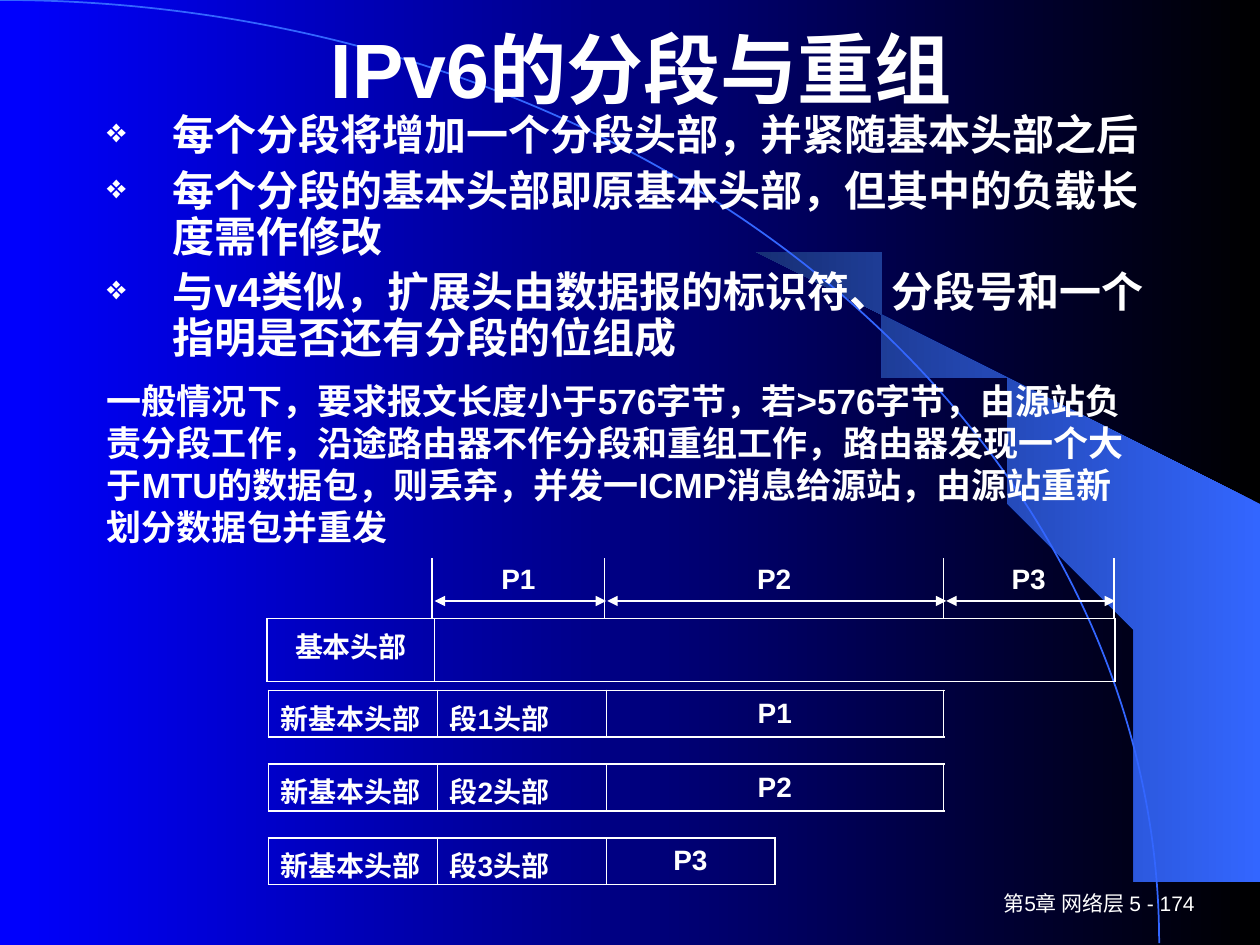
from lxml import etree
from pptx import Presentation
from pptx.dml.color import RGBColor
from pptx.enum.shapes import MSO_CONNECTOR, MSO_SHAPE
from pptx.enum.text import MSO_ANCHOR, PP_ALIGN
from pptx.oxml.ns import qn
from pptx.util import Inches, Pt

LEFT, CENTER, RIGHT = PP_ALIGN.LEFT, PP_ALIGN.CENTER, PP_ALIGN.RIGHT
TOP, MIDDLE = MSO_ANCHOR.TOP, MSO_ANCHOR.MIDDLE
COLORS = {"text": "FFFFFF", "black": "000000", "blue": "0000FF",
          "beam": "3366FF", "beam_dark": "172F75"}
THICK, THIN = 1.08, 0.45

# Content
TITLE = "IPv6的分段与重组 "
BULLETS = [
    "每个分段将增加一个分段头部，并紧随基本头部之后",
    "每个分段的基本头部即原基本头部，但其中的负载长度需作修改",
    "与v4类似，扩展头由数据报的标识符、分段号和一个指明是否还有分段的位组成",
]
NOTE = ("一般情况下，要求报文长度小于576字节，若>576字节，由源站负责分段工作，"
        "沿途路由器不作分段和重组工作，路由器发现一个大于MTU的数据包，则丢弃，"
        "并发一ICMP消息给源站，由源站重新划分数据包并重发")
FOOTER = "第5章 网络层 5 - 174"
FRAGMENT_WIDTHS = [2.68, 2.68, 1.34]
PARTS = ["P1", "P2", "P3"]
PART_WIDTHS = [1.37, 2.69, 1.35]
PART_SPANS = [(3.45, 4.81), (4.82, 7.51), (7.51, 8.85)]
BEAM = [(9.2, 7.48), (9.99, 7.49), (9.99, 4.23), (5.89, 1.73), (6.24, 1.99),
        (6.53, 2.22), (6.85, 2.5), (7.16, 2.8), (7.62, 3.3), (8.03, 3.84),
        (8.32, 4.31), (8.58, 4.79), (8.78, 5.28), (8.93, 5.72), (9.03, 6.09),
        (9.13, 6.56), (9.17, 6.96), (9.2, 7.48)]


def rgb(name):
    return RGBColor.from_string(COLORS[name])


def set_gradient(fill, first, last):
    fill.gradient()
    fill.gradient_angle = 180
    for stop, name in zip(fill.gradient_stops, (first, last)):
        stop.color.rgb = rgb(name)


def style_paragraph(paragraph, size, bold=True, align=LEFT):
    paragraph.alignment = align
    font = paragraph.font
    font.name, font.size, font.bold = "Arial", Pt(size), bold
    font.color.rgb = rgb("text")


def add_bullet(paragraph):
    properties = paragraph._p.get_or_add_pPr()
    properties.set("marL", str(Inches(0.52)))
    properties.set("indent", str(Inches(-0.52)))
    color = etree.SubElement(properties, qn("a:buClr"))
    etree.SubElement(color, qn("a:srgbClr"), val=COLORS["text"])
    etree.SubElement(properties, qn("a:buSzPct"), val="80000")
    etree.SubElement(properties, qn("a:buChar"), char="❖")


def add_text(slide, box, lines, size, bold=True, align=LEFT, anchor=TOP, bullets=False):
    frame = slide.shapes.add_textbox(*map(Inches, box)).text_frame
    frame.word_wrap = True
    frame.vertical_anchor = anchor
    for index, line in enumerate(lines):
        paragraph = frame.paragraphs[0] if index == 0 else frame.add_paragraph()
        paragraph.text = line
        if bullets:
            add_bullet(paragraph)
            paragraph.line_spacing = 0.9
            if index:
                paragraph.space_before = Pt(6)
        style_paragraph(paragraph, size, bold, align)


def set_borders(cell, widths):
    """Widths in points for left, right, top and bottom; 0 hides a border."""
    properties = cell._tc.get_or_add_tcPr()
    for index, (side, width) in enumerate(zip("LRTB", widths)):
        border = etree.Element(qn("a:ln" + side), w=str(Pt(width)))
        if width:
            fill = etree.SubElement(border, qn("a:solidFill"))
            etree.SubElement(fill, qn("a:srgbClr"), val=COLORS["text"])
        else:
            etree.SubElement(border, qn("a:noFill"))
        properties.insert(index, border)


def add_row_table(slide, left, top, height, widths, texts, aligns, anchor, top_border):
    table = slide.shapes.add_table(1, len(widths), Inches(left), Inches(top),
                                   Inches(sum(widths)), Inches(height)).table
    table.first_row = table.horz_banding = False
    last = len(widths) - 1
    for index, (width, text, align) in enumerate(zip(widths, texts, aligns)):
        table.columns[index].width = Inches(width)
        cell = table.cell(0, index)
        cell.text = text
        cell.vertical_anchor = anchor
        cell.fill.background()
        style_paragraph(cell.text_frame.paragraphs[0], 16, align=align)
        set_borders(cell, (THIN if index else THICK,
                           THIN if index < last else THICK, top_border, THICK))


def add_double_arrow(slide, start, end, y):
    arrow = slide.shapes.add_connector(MSO_CONNECTOR.STRAIGHT, Inches(start),
                                       Inches(y), Inches(end), Inches(y))
    arrow.line.color.rgb = rgb("text")
    arrow.line.width = Pt(0.75)
    line = arrow.line._get_or_add_ln()
    for tag in ("a:headEnd", "a:tailEnd"):
        etree.SubElement(line, qn(tag), type="triangle")
    etree.SubElement(arrow._element.spPr, qn("a:effectLst"))


def add_backdrop(slide):
    set_gradient(slide.background.fill, "black", "blue")
    builder = slide.shapes.build_freeform(*BEAM[0], scale=Inches(1))
    builder.add_line_segments(BEAM[1:], close=False)
    beam = builder.convert_to_shape()
    beam.shadow.inherit = False
    set_gradient(beam.fill, "beam", "beam_dark")
    beam.line.fill.background()
    arc = slide.shapes.add_shape(MSO_SHAPE.ARC, Inches(-9.2), 0,
                                 Inches(18.4), Inches(14.97))
    arc.shadow.inherit = False
    arc.fill.background()
    arc.line.color.rgb = rgb("beam")
    arc.line.width = Pt(1)


def main():
    presentation = Presentation()
    presentation.slide_width, presentation.slide_height = Inches(10), Inches(7.5)
    slide = presentation.slides.add_slide(presentation.slide_layouts[6])
    add_backdrop(slide)

    # Text
    add_text(slide, (7.5, 7, 2.08, 0.33), [FOOTER], 12, False, RIGHT, MIDDLE)
    add_text(slide, (0.91, 0.21, 8.5, 0.65), [TITLE], 44, align=CENTER, anchor=MIDDLE)
    add_text(slide, (0.75, 0.86, 8.5, 2.2), BULLETS, 24, bullets=True)
    add_text(slide, (0.75, 2.96, 8.33, 1.44), [NOTE], 20)

    # Fragments, one table each
    for index, (part, width) in enumerate(zip(PARTS, FRAGMENT_WIDTHS)):
        add_row_table(slide, 2.13, 5.48 + index * 0.585, 0.37, [1.34, 1.34, width],
                      ["新基本头部", f"段{index + 1}头部", part],
                      [LEFT, LEFT, CENTER], MIDDLE, THICK)

    # Unfragmented packet with its parts marked above
    add_row_table(slide, 3.43, 4.43, 0.48, PART_WIDTHS, PARTS, [CENTER] * 3, TOP, 0)
    for start, end in PART_SPANS:
        add_double_arrow(slide, start, end, 4.77)
    add_row_table(slide, 2.12, 4.91, 0.5, [1.33, 5.4], ["基本头部", ""],
                  [CENTER] * 2, TOP, THIN)

    presentation.save("out.pptx")


if __name__ == "__main__":
    main()
